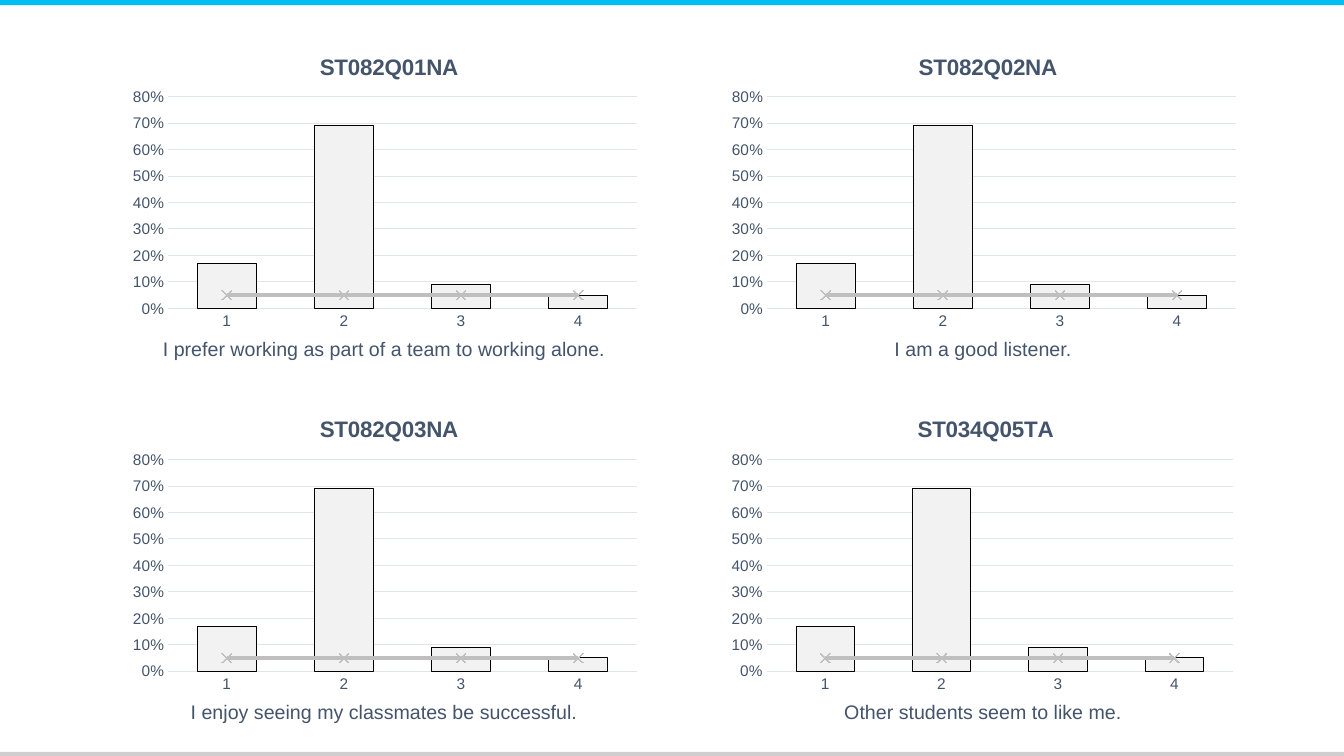
"""Build a slide of four survey charts, each with a caption."""
from typing import Any, NamedTuple, Optional

from pptx import Presentation
from pptx.chart.chart import Chart
from pptx.chart.data import CategoryChartData
from pptx.dml.color import RGBColor
from pptx.enum.chart import XL_CHART_TYPE as ChartType
from pptx.enum.chart import XL_MARKER_STYLE as MarkerStyle
from pptx.enum.chart import XL_TICK_MARK as TickMark
from pptx.enum.shapes import MSO_SHAPE as ShapeType
from pptx.enum.text import MSO_ANCHOR as Anchor
from pptx.enum.text import MSO_AUTO_SIZE as AutoSize
from pptx.enum.text import PP_ALIGN as Align
from pptx.oxml import parse_xml
from pptx.oxml.ns import nsdecls
from pptx.slide import Slide
from pptx.util import Inches, Pt

COLORS = {
    "top_band": "00BFF3",
    "bottom_band": "D0CECE",
    "text": "44546A",
    "grid": "E0E5EB",
    "bar": "F2F2F2",
    "outline": "000000",
    "threshold": "BFBFBF",
    "marker": "FF0000",
}
FONT = "Arial"
SLIDE_WIDTH, SLIDE_HEIGHT = 13.33, 7.5
LEFT, TOP = 1.2, 0.33
COLUMN_STEP, ROW_STEP = 5.94, 3.6
CHART_HEIGHT = 3
CAPTION_OFFSET, CAPTION_HEIGHT = 2.96, 0.34
CATEGORIES = ("1", "2", "3", "4")
SERIES = {
    "Series 1": (0.17, 0.69, 0.09, 0.05),
    "Series 2": (0.05, 0.05, 0.05, 0.05),
}


class Band(NamedTuple):
    top: float
    color: str


class Question(NamedTuple):
    code: str
    caption: str
    caption_width: float
    chart_width: float = 5.22


class Region(NamedTuple):
    left: float
    top: float
    width: Optional[float] = None
    height: Optional[float] = None


BANDS = (Band(0, "top_band"), Band(7.46, "bottom_band"))
QUESTIONS = (
    Question("ST082Q01NA", "I prefer working as part of a team to working alone.", 4.61),
    Question("ST082Q02NA", "I am a good listener.", 1.96),
    Question("ST082Q03NA", "I enjoy seeing my classmates be successful.", 4.06),
    Question("ST034Q05TA", "Other students seem to like me.", 2.96, 5.19),
)
TITLE_REGION = Region(0.37, 0.05)
PLOT_REGION = Region(0.09, 0.21, 0.89, 0.7)


def color(name: str) -> RGBColor:
    return RGBColor.from_string(COLORS[name])


def apply(target: Any, values: dict[str, Any]) -> None:
    for name, value in values.items():
        setattr(target, name, value)


def style_font(font: Any, size: float, bold: bool = False) -> None:
    apply(font, {"name": FONT, "size": Pt(size), "bold": bold})
    font.color.rgb = color("text")


def style_line(line: Any, name: str, width: float) -> None:
    line.color.rgb = color(name)
    line.width = Pt(width)


def style_fill(fill: Any, name: str) -> None:
    fill.solid()
    fill.fore_color.rgb = color(name)


def add_band(slide: Slide, band: Band) -> None:
    shape = slide.shapes.add_shape(
        ShapeType.RECTANGLE, 0, Inches(band.top), Inches(SLIDE_WIDTH), Inches(0.05)
    )
    shape.shadow.inherit = False
    style_fill(shape.fill, band.color)
    shape.line.fill.background()


def set_layout(parent: Any, region: Region, index: int) -> None:
    for layout in parent.xpath("c:layout"):
        parent.remove(layout)
    target = '<c:layoutTarget val="inner"/>' if region.width else ""
    sizes = f'<c:w val="{region.width}"/><c:h val="{region.height}"/>' if region.width else ""
    parent.insert(index, parse_xml(
        f'<c:layout {nsdecls("c")}><c:manualLayout>{target}'
        '<c:xMode val="edge"/><c:yMode val="edge"/>'
        f'<c:x val="{region.left}"/><c:y val="{region.top}"/>{sizes}'
        '</c:manualLayout></c:layout>'
    ))


def move_last_series_to_line(chart: Chart) -> None:
    bar_chart = chart.element.xpath(".//c:barChart")[0]
    series = bar_chart.xpath("c:ser")[-1]
    for invert in series.xpath("c:invertIfNegative"):
        series.remove(invert)
    axes = "".join(f'<c:axId val="{value}"/>' for value in bar_chart.xpath("c:axId/@val"))
    line_chart = parse_xml(
        f'<c:lineChart {nsdecls("c")}><c:grouping val="standard"/>'
        f'<c:varyColors val="0"/><c:marker val="1"/>{axes}</c:lineChart>'
    )
    line_chart.insert(2, series)
    bar_chart.addnext(line_chart)


def style_axes(chart: Chart) -> None:
    category, value = chart.category_axis, chart.value_axis
    for axis in (category, value):
        apply(axis, {"major_tick_mark": TickMark.NONE, "minor_tick_mark": TickMark.NONE})
        style_font(axis.tick_labels.font, 11)
    apply(value, {"minimum_scale": 0, "maximum_scale": 0.8, "major_unit": 0.1})
    apply(value.tick_labels, {"number_format": "0%", "number_format_is_linked": False})
    style_line(category.format.line, "grid", 0.75)
    style_line(value.major_gridlines.format.line, "grid", 0.75)
    value.format.line.fill.background()


def style_series(chart: Chart) -> None:
    columns, line = chart.plots
    apply(columns, {"gap_width": 100, "overlap": -24, "vary_by_categories": False})
    bars, threshold = columns.series[0], line.series[0]
    style_fill(bars.format.fill, "bar")
    style_line(bars.format.line, "outline", 0.75)
    style_line(threshold.format.line, "threshold", 2.5)
    threshold.smooth = False
    apply(threshold.marker, {"style": MarkerStyle.X, "size": 7})
    style_fill(threshold.marker.format.fill, "marker")
    style_line(threshold.marker.format.line, "threshold", 0.75)


def add_question_chart(slide: Slide, question: Question, left: float, top: float) -> None:
    data = CategoryChartData(number_format="0%")
    data.categories = CATEGORIES
    for name, values in SERIES.items():
        data.add_series(name, values)
    chart = slide.shapes.add_chart(
        ChartType.COLUMN_CLUSTERED, Inches(left), Inches(top),
        Inches(question.chart_width), Inches(CHART_HEIGHT), data,
    ).chart
    chart.has_legend = False
    apply(chart.font, {"name": FONT, "size": Pt(10)})
    title = chart.chart_title
    title.text_frame.text = question.code
    style_font(title.text_frame.paragraphs[0].runs[0].font, 16, bold=True)
    title.include_in_layout = False
    set_layout(chart.element.xpath("c:chart/c:title")[0], TITLE_REGION, 1)
    set_layout(chart.element.xpath("c:chart/c:plotArea")[0], PLOT_REGION, 0)
    move_last_series_to_line(chart)
    style_axes(chart)
    style_series(chart)


def add_caption(slide: Slide, question: Question, center: float, top: float) -> None:
    frame = slide.shapes.add_textbox(
        Inches(center - question.caption_width / 2), Inches(top),
        Inches(question.caption_width), Inches(CAPTION_HEIGHT),
    ).text_frame
    apply(frame, {
        "text": question.caption, "word_wrap": False,
        "auto_size": AutoSize.SHAPE_TO_FIT_TEXT, "vertical_anchor": Anchor.TOP,
    })
    paragraph = frame.paragraphs[0]
    paragraph.alignment = Align.CENTER
    style_font(paragraph.runs[0].font, 14)


def main() -> None:
    presentation = Presentation()
    apply(presentation, {"slide_width": Inches(SLIDE_WIDTH), "slide_height": Inches(SLIDE_HEIGHT)})
    slide = presentation.slides.add_slide(presentation.slide_layouts[6])
    for band in BANDS:
        add_band(slide, band)
    for index, question in enumerate(QUESTIONS):
        row, column = divmod(index, 2)
        left, top = LEFT + column * COLUMN_STEP, TOP + row * ROW_STEP
        add_question_chart(slide, question, left, top)
        add_caption(slide, question, left + 2.61, top + CAPTION_OFFSET)
    presentation.save("out.pptx")


if __name__ == "__main__":
    main()
